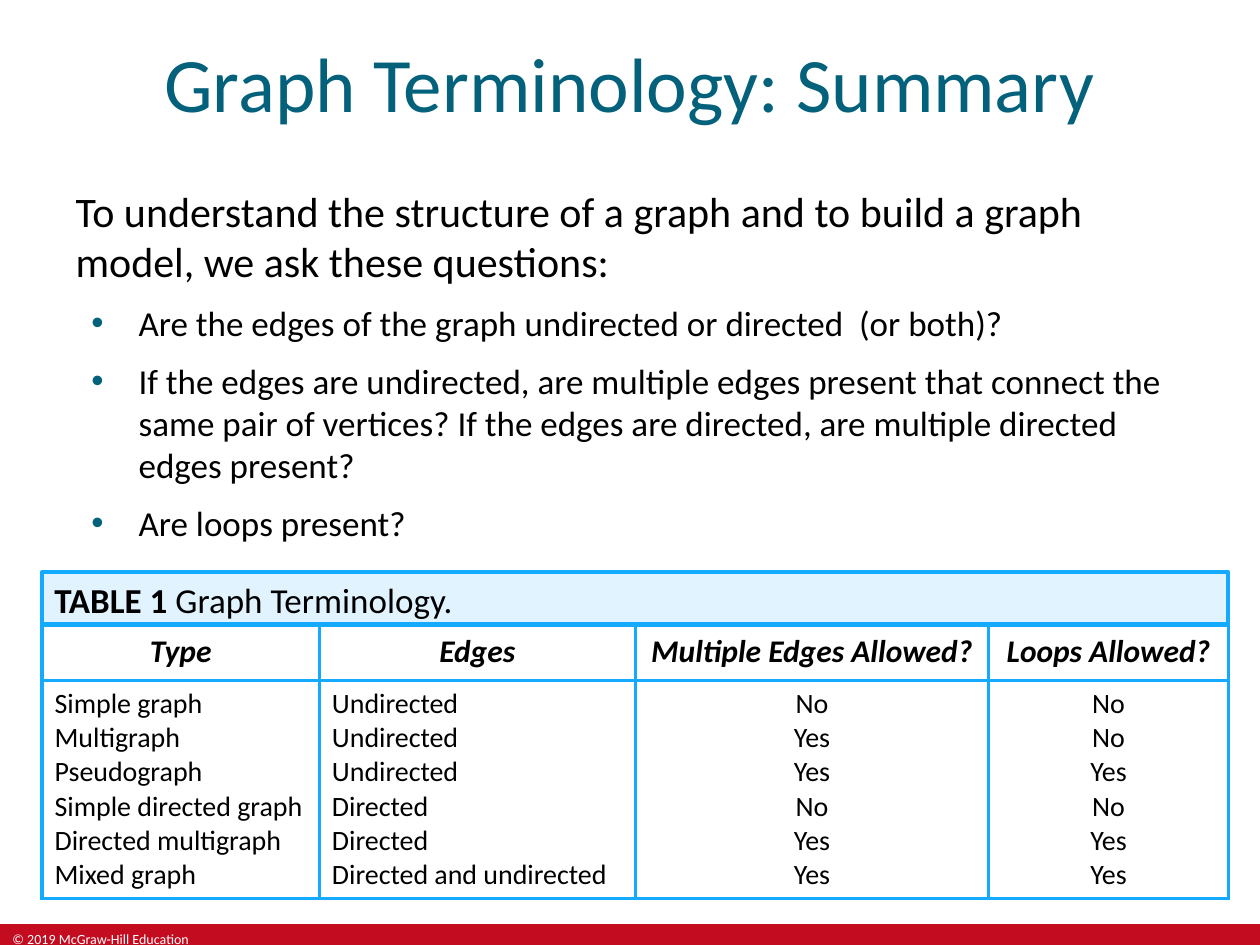
"""Build the graph terminology summary slide with its questions and table."""
from dataclasses import dataclass

from lxml import etree
from pptx import Presentation
from pptx import util as u
from pptx.dml.color import RGBColor
from pptx.enum import shapes, text
from pptx.oxml import ns

LEFT, CENTER = text.PP_ALIGN.LEFT, text.PP_ALIGN.CENTER


@dataclass(frozen=True)
class Theme:
    font: str = "Calibri"
    ink: str = "000000"
    teal: str = "04617B"
    red: str = "C30C20"
    white: str = "FFFFFF"
    sky: str = "E1F3FF"
    rule: str = "14AAFF"
    rule_width: float = 2.25
    title: int = 44
    lead: int = 24
    question: int = 20
    caption: int = 20
    header: int = 18
    entry: int = 16
    footer: int = 8


@dataclass(frozen=True)
class Box:
    left: float
    top: float
    width: float
    height: float

    def lengths(self) -> tuple:
        return tuple(u.Pt(n) for n in (self.left, self.top, self.width, self.height))


@dataclass(frozen=True)
class Column:
    heading: str
    width: float
    align: text.PP_ALIGN
    entries: tuple[str, ...]


THEME = Theme()
PAGE = Box(0, 0, 720, 540)
TITLE = Box(0, 0, 720, 93.6)
BODY = Box(36, 102.24, 648, 210.24)
CAPTION = Box(24, 327, 678, 30)
TABLE_TOP, HEADER_HEIGHT, ENTRIES_HEIGHT = 356.4, 32.4, 124.5
FOOTER = Box(0, 528, 720, 12)
COPYRIGHT = Box(0, 528, 122.4, 12)

LEAD = "To understand the structure of a graph and to build a graph model, we ask these questions:"
QUESTIONS = (
    "Are the edges of the graph undirected or directed  (or both)?",
    "If the edges are undirected, are multiple edges present that connect the same pair of "
    "vertices? If the edges are directed, are multiple directed edges present?",
    "Are loops present?",
)
COLUMNS = (
    Column("Type", 158.5, LEFT, ("Simple graph", "Multigraph", "Pseudograph",
                                 "Simple directed graph", "Directed multigraph", "Mixed graph")),
    Column("Edges", 180.5, LEFT, ("Undirected", "Undirected", "Undirected",
                                  "Directed", "Directed", "Directed and undirected")),
    Column("Multiple Edges Allowed?", 202, CENTER, ("No", "Yes", "Yes", "No", "Yes", "Yes")),
    Column("Loops Allowed?", 137, CENTER, ("No", "No", "Yes", "No", "Yes", "Yes")),
)


def color(value: str) -> RGBColor:
    return RGBColor.from_string(value)


def place(shape, box: Box) -> None:
    shape.left, shape.top, shape.width, shape.height = box.lengths()


def add_span(para, words: str, size: float, ink: str = THEME.ink,
             bold: bool = False, italic: bool = False) -> None:
    span = para.add_run()
    span.text = words
    font = span.font
    font.name, font.size, font.bold, font.italic = THEME.font, u.Pt(size), bold, italic
    font.color.rgb = color(ink)


def set_spacing(para, before: float, after: float) -> None:
    para.space_before, para.space_after = u.Pt(before), u.Pt(after)


def set_bullet(para, margin: float, indent: float, mark: str = "") -> None:
    props = para._p.get_or_add_pPr()
    props.set("marL", str(u.Pt(margin)))
    props.set("indent", str(u.Pt(indent)))
    if not mark:
        etree.SubElement(props, ns.qn("a:buNone"))
        return
    tint = etree.SubElement(props, ns.qn("a:buClr"))
    etree.SubElement(tint, ns.qn("a:srgbClr"), val=THEME.teal)
    etree.SubElement(props, ns.qn("a:buFont"), typeface="Arial")
    etree.SubElement(props, ns.qn("a:buChar"), char=mark)


def set_borders(cell) -> None:
    props = cell._tc.get_or_add_tcPr()
    for side in ("a:lnL", "a:lnR", "a:lnT", "a:lnB"):
        line = etree.SubElement(props, ns.qn(side), w=str(u.Pt(THEME.rule_width)))
        fill = etree.SubElement(line, ns.qn("a:solidFill"))
        etree.SubElement(fill, ns.qn("a:srgbClr"), val=THEME.rule)


def add_band(page, box: Box, fill: str):
    band = page.shapes.add_shape(shapes.MSO_SHAPE.RECTANGLE, *box.lengths())
    band.shadow.inherit = False
    band.fill.solid()
    band.fill.fore_color.rgb = color(fill)
    band.line.fill.background()
    return band


def add_footer(page) -> None:
    add_band(page, FOOTER, THEME.red)
    box = page.shapes.add_textbox(*COPYRIGHT.lengths())
    box.text_frame.word_wrap = True
    add_span(box.text_frame.paragraphs[0], "© 2019 McGraw-Hill Education",
             THEME.footer, THEME.white)


def fill_title(page) -> None:
    title = page.shapes.title
    place(title, TITLE)
    title.text_frame.auto_size = text.MSO_AUTO_SIZE.NONE
    title.text_frame.vertical_anchor = text.MSO_ANCHOR.MIDDLE
    para = title.text_frame.paragraphs[0]
    para.alignment = CENTER
    add_span(para, "Graph Terminology: Summary", THEME.title, THEME.teal)


def fill_body(page) -> None:
    body = page.placeholders[1]
    place(body, BODY)
    frame = body.text_frame
    frame.auto_size = text.MSO_AUTO_SIZE.NONE
    lead = frame.paragraphs[0]
    set_bullet(lead, 0, 0)
    set_spacing(lead, 0, 6)
    add_span(lead, LEAD, THEME.lead)
    for question in QUESTIONS:
        para = frame.add_paragraph()
        para.level = 1
        set_bullet(para, 36, -27, "•")
        set_spacing(para, 3, 6)
        add_span(para, question, THEME.question)


def add_caption(page) -> None:
    band = add_band(page, CAPTION, THEME.sky)
    band.line.color.rgb = color(THEME.rule)
    band.line.width = u.Pt(THEME.rule_width)
    frame = band.text_frame
    frame.word_wrap = True
    frame.vertical_anchor = text.MSO_ANCHOR.TOP
    para = frame.paragraphs[0]
    para.alignment = LEFT
    add_span(para, "TABLE 1 ", THEME.caption, bold=True)
    add_span(para, "Graph Terminology.", THEME.caption)


def fill_cell(cell, lines: tuple[str, ...], align: text.PP_ALIGN,
              size: float, strong: bool) -> None:
    set_borders(cell)
    cell.fill.background()
    cell.vertical_anchor = text.MSO_ANCHOR.MIDDLE if strong else text.MSO_ANCHOR.TOP
    frame = cell.text_frame
    for index, line in enumerate(lines):
        para = frame.add_paragraph() if index else frame.paragraphs[0]
        para.alignment = align
        add_span(para, line, size, bold=strong, italic=strong)


def add_terms(page) -> None:
    box = Box(CAPTION.left, TABLE_TOP, CAPTION.width, HEADER_HEIGHT + ENTRIES_HEIGHT)
    table = page.shapes.add_table(2, len(COLUMNS), *box.lengths()).table
    table.first_row = table.horz_banding = False
    for row, height in zip(table.rows, (HEADER_HEIGHT, ENTRIES_HEIGHT)):
        row.height = u.Pt(height)
    for index, column in enumerate(COLUMNS):
        table.columns[index].width = u.Pt(column.width)
        fill_cell(table.cell(0, index), (column.heading,), CENTER, THEME.header, True)
        fill_cell(table.cell(1, index), column.entries, column.align, THEME.entry, False)


def main() -> None:
    deck = Presentation()
    deck.slide_width, deck.slide_height = u.Pt(PAGE.width), u.Pt(PAGE.height)
    page = deck.slides.add_slide(deck.slide_layouts[1])
    add_footer(page)
    fill_title(page)
    fill_body(page)
    add_caption(page)
    add_terms(page)
    deck.save("out.pptx")


if __name__ == "__main__":
    main()
